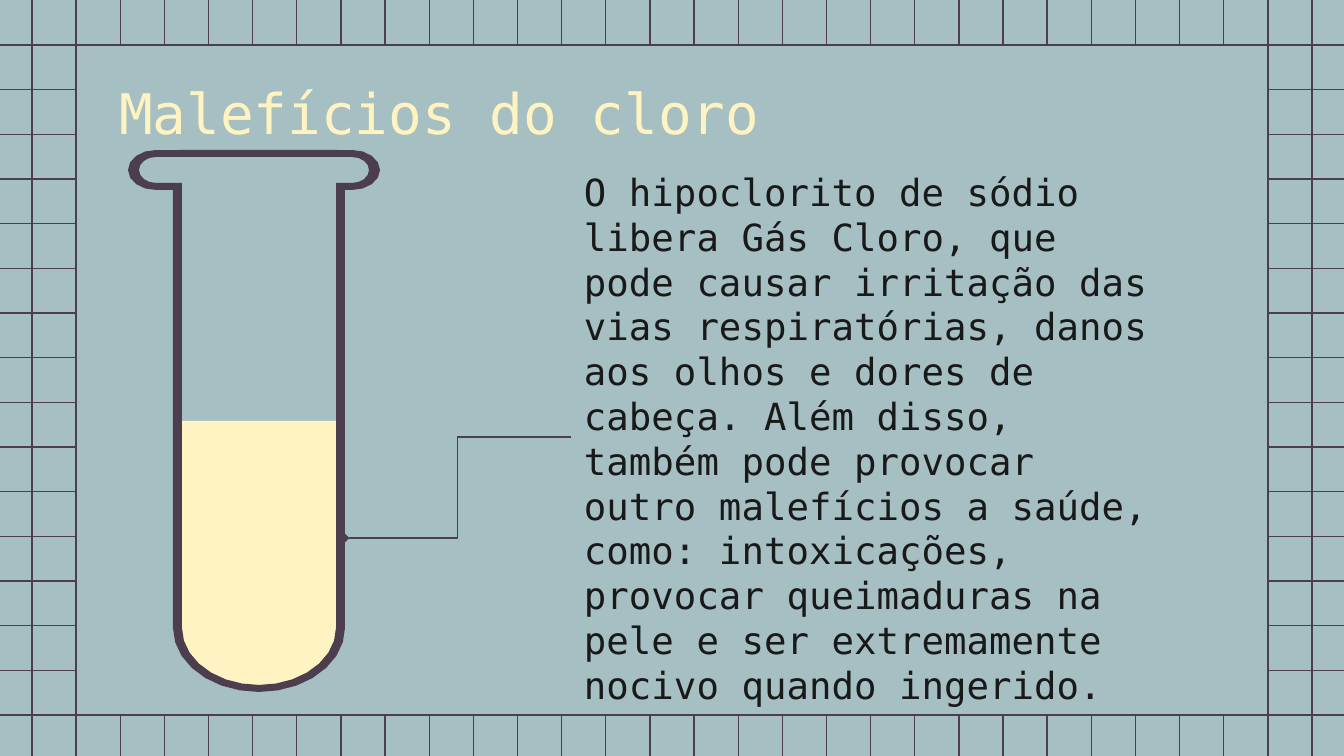
from math import cos, pi, sin

from lxml.etree import SubElement
from pptx import Presentation
from pptx.dml.color import RGBColor
from pptx.enum.shapes import MSO_CONNECTOR as CONN, MSO_SHAPE as SHAPE
from pptx.enum.text import MSO_ANCHOR as ANCHOR, MSO_AUTO_SIZE as AUTO, PP_ALIGN as ALIGN
from pptx.oxml.ns import qn
from pptx.util import Pt

SCALE = 914400 / 134.4
COLORS = {"bg": "A5BFC2", "line": "4C3D4F", "cream": "FFF3C2", "ink": "191919"}
FONT = "DejaVu Sans Mono"
BODY = (
    "O hipoclorito de sódio libera Gás Cloro, que pode causar irritação das vias "
    "respiratórias, danos aos olhos e dores de cabeça. Além disso, também pode provocar "
    "outro malefícios a saúde, como: intoxicações, provocar queimaduras na pele e ser "
    "extremamente nocivo quando ingerido."
)


def px(n):
    """Turn a length in px into EMU."""
    return round(n * SCALE)


def rgb(name):
    """Look up a colour of the palette."""
    return RGBColor.from_string(COLORS[name])


def write(sp, text, size, color, anchor=ANCHOR.TOP):
    """Put formatted text into a shape."""
    tf = sp.text_frame
    tf.word_wrap = True
    tf.auto_size = AUTO.NONE
    tf.vertical_anchor = anchor
    tf.margin_left = tf.margin_right = tf.margin_top = tf.margin_bottom = px(13)
    p = tf.paragraphs[0]
    p.alignment = ALIGN.LEFT
    p.line_spacing = Pt(size * 1.2)
    r = p.add_run()
    r.text = text
    r.font.name = FONT
    r.font.size = Pt(size)
    r.font.color.rgb = rgb(color)


def paint(sp, fill, line=None):
    """Give a shape a flat fill and an optional thin outline."""
    sp.shadow.inherit = False
    sp.fill.solid()
    sp.fill.fore_color.rgb = rgb(fill)
    if line:
        sp.line.color.rgb = rgb(line)
        sp.line.width = Pt(0.75)
    else:
        sp.line.fill.background()


def connect(shapes, x1, y1, x2, y2, kind=CONN.STRAIGHT, tail=None):
    """Draw a thin connector with an optional end mark."""
    c = shapes.add_connector(kind, px(x1), px(y1), px(x2), px(y2))
    c.line.color.rgb = rgb("line")
    c.line.width = Pt(0.75)
    if tail:
        SubElement(c.line._get_or_add_ln(), qn("a:tailEnd"), type=tail)
    SubElement(c.element.spPr, qn("a:effectLst"))


def arc(cx, cy, rx, ry, start, end, steps=8):
    """List points along an elliptical arc, angles in degrees."""
    angles = [(start + (end - start) * i / steps) * pi / 180 for i in range(steps + 1)]
    return [(cx + rx * cos(a), cy + ry * sin(a)) for a in angles]


def outline(shapes, x, y, points, fill):
    """Draw a closed filled outline from points relative to x, y."""
    pts = [(px(x + dx), px(y + dy)) for dx, dy in points]
    builder = shapes.build_freeform(*pts[0])
    builder.add_line_segments(pts[1:], close=True)
    paint(builder.convert_to_shape(), fill)


def grid_frame(s, w, h):
    """Rule the slide's layout and cover the middle with a panel."""
    left, top, cols, rows = 32, 45, 29, 15
    step_x, step_y = (w - 2 * left) / cols, 670 / rows
    group = s.shapes.add_group_shape()
    for i in range(cols + 1):
        x = left + i * step_x
        connect(group.shapes, x, -11, x, h)
    for i in range(rows + 1):
        y = top + i * step_y
        connect(group.shapes, 0, y, w, y)
    panel = group.shapes.add_shape(
        SHAPE.RECTANGLE, px(left + step_x), px(top), px((cols - 2) * step_x), px(670)
    )
    paint(panel, "bg", "line")
    s.slide_layout.shapes.element.insert(2, group.element)


def test_tube(s, x, y, w, h):
    """Draw the liquid, the glass wall and the rim bar in a box."""
    mid, bend, rim, lip = 131, h - 64, 28, 20
    shapes = s.shapes.add_group_shape().shapes
    liquid = [(mid - 81, 271), *arc(mid, bend, 81, 61, 180, 0), (mid + 81, 271)]
    outline(shapes, x, y, liquid, "cream")
    wall = [
        *arc(rim, lip, 28, 20, 270, 90),
        (mid - 86, 40),
        *arc(mid, bend, 86, 64, 180, 0, 14),
        (mid + 86, 40),
        *arc(w - rim, lip, 28, 20, 90, -90),
        (209, 0),
        (209, 7),
        *arc(w - rim, lip, 17, 13, -90, 90),
        (mid + 77, 33),
        *arc(mid, bend, 77, 57, 0, 180, 14),
        (mid - 77, 33),
        *arc(rim, lip, 17, 13, 90, 270),
        (59, 7),
        (59, 0),
    ]
    outline(shapes, x, y, wall, "line")
    bar = [*arc(51.5, 3.5, 3.5, 3.5, 270, 90, 4), *arc(209.5, 3.5, 3.5, 3.5, 90, -90, 4)]
    outline(shapes, x, y, bar, "line")


def title(s, x, y, w, h):
    """Move the title into its box."""
    sp = s.shapes.title
    sp.left, sp.top, sp.width, sp.height = px(x), px(y), px(w), px(h)
    write(sp, "Malefícios do cloro", 30, "cream")


def explanation(s, x, y, w, h):
    """Place the text and lead a line from it to the tube."""
    sp = s.shapes.add_textbox(px(x), px(y), px(w), px(h))
    write(sp, BODY, 20, "ink", ANCHOR.MIDDLE)
    connect(s.shapes, x, y + 251, x - 227, y + 352, CONN.ELBOW, "diamond")


def main():
    """Build and save the slide."""
    prs = Presentation()
    prs.slide_width, prs.slide_height = px(1344), px(756)
    s = prs.slides.add_slide(prs.slide_layouts[5])
    s.background.fill.solid()
    s.background.fill.fore_color.rgb = rgb("bg")
    grid_frame(s, 1344, 756)
    title(s, 106, 66, 1133, 85)
    test_tube(s, 128, 150, 252, 542)
    explanation(s, 571, 186, 601, 504)
    prs.save("out.pptx")


if __name__ == "__main__":
    main()
